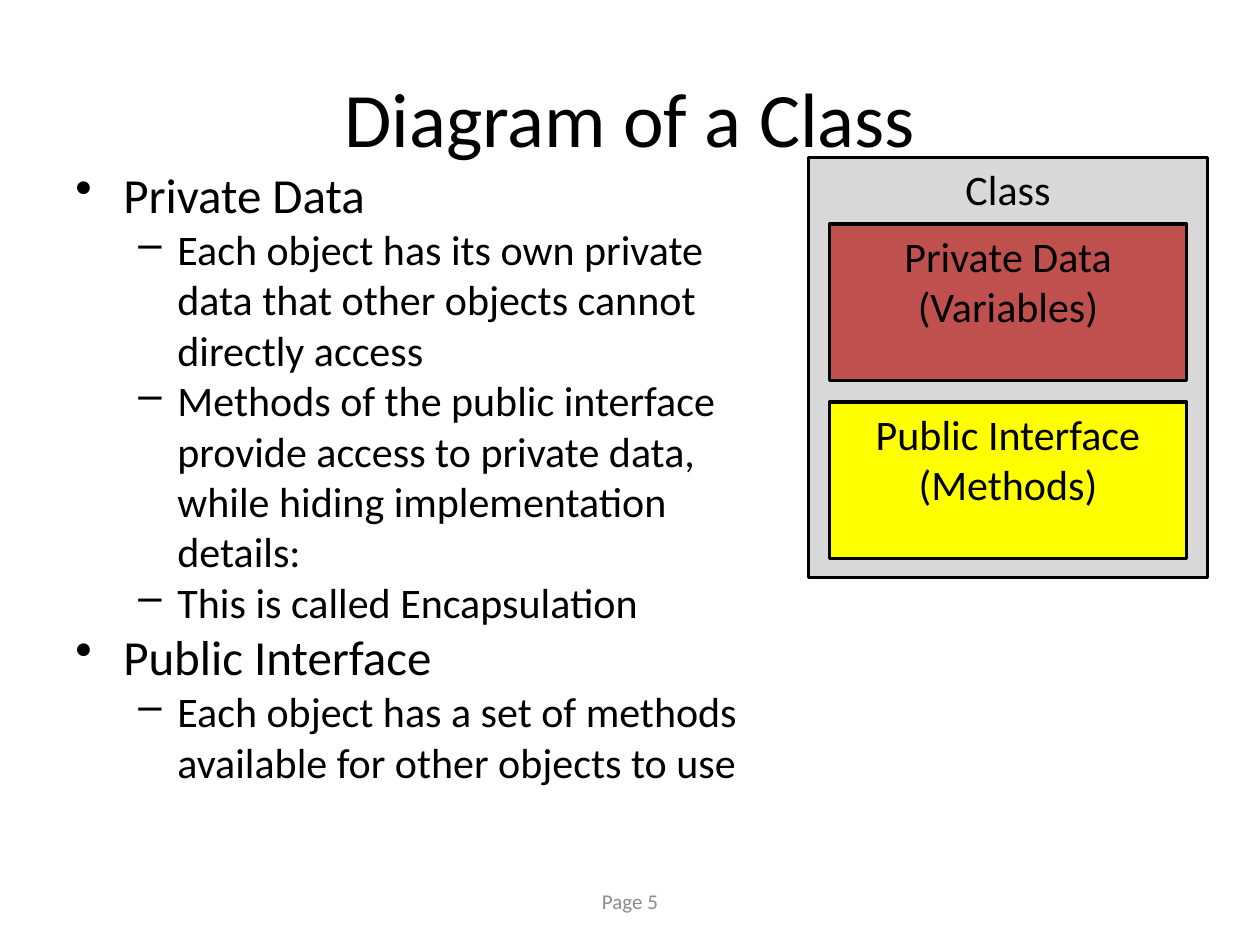
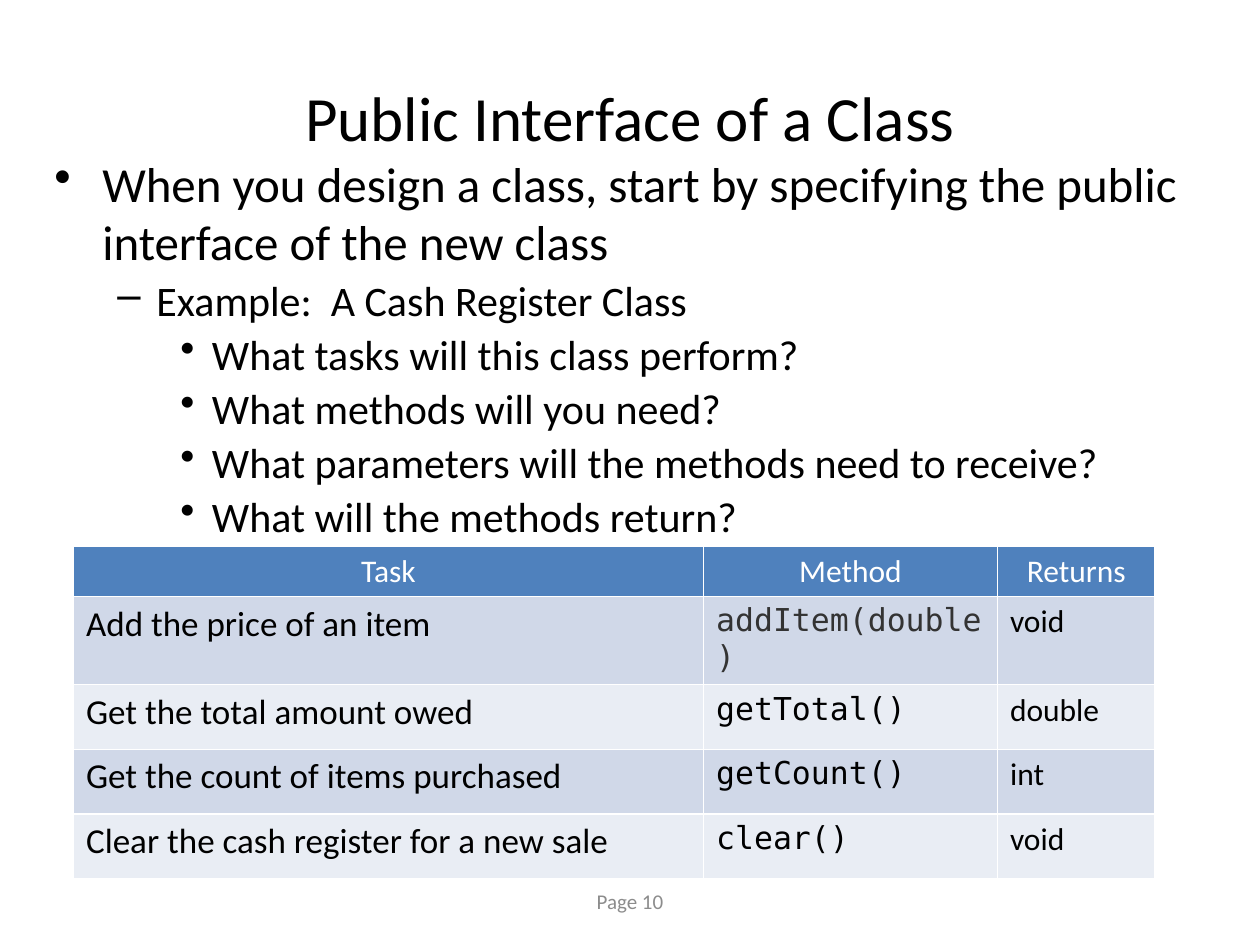
from lxml import etree
from pptx import Presentation
from pptx.dml.color import RGBColor
from pptx.enum.shapes import MSO_SHAPE
from pptx.enum.text import MSO_ANCHOR, PP_ALIGN
from pptx.oxml.ns import qn
from pptx.util import Inches, Pt

RECT = MSO_SHAPE.RECTANGLE
TOP, MIDDLE = MSO_ANCHOR.TOP, MSO_ANCHOR.MIDDLE
LEFT, CENTER = PP_ALIGN.LEFT, PP_ALIGN.CENTER

BLACK = RGBColor(0x00, 0x00, 0x00)
WHITE = RGBColor(0xFF, 0xFF, 0xFF)
DARK = RGBColor(0x33, 0x33, 0x33)
FOOTER_GRAY = RGBColor(0x8C, 0x8C, 0x8C)
CLASS_GRAY = RGBColor(0xD9, 0xD9, 0xD9)
PRIVATE_RED = RGBColor(0xC0, 0x50, 0x4D)
PUBLIC_YELLOW = RGBColor(0xFF, 0xFF, 0x00)
HEADER_BLUE = RGBColor(0x4F, 0x81, 0xBD)
BANDS = [RGBColor(0xD0, 0xD8, 0xE8), RGBColor(0xE9, 0xED, 0xF4)]

FONT, CODE_FONT = "Calibri", "DejaVu Sans Mono"

# Bullet levels: character, left margin and hanging indent in inches
LEVELS = [("•", 0.38, 0.38), ("–", 0.81, 0.31), ("•", 1.25, 0.25)]

prs = Presentation()
prs.slide_width, prs.slide_height = Inches(10), Inches(7.5)

# Grid of 120 columns by 90 rows
COL = prs.slide_width / 120
ROW = prs.slide_height / 90


def grid(x, y, w, h):
    return int(x * COL), int(y * ROW), int(w * COL), int(h * ROW)


def add_text(tf, text, size=24, color=BLACK, font=FONT, align=LEFT,
             anchor=TOP, before=0, level=None):
    """Fill the first empty paragraph, or add one, and format it."""
    tf.word_wrap = True
    tf.vertical_anchor = anchor
    p = tf.add_paragraph() if tf.text else tf.paragraphs[0]
    p.alignment = align
    p.space_before = Pt(before)
    r = p.add_run()
    r.text = text
    r.font.size, r.font.name = Pt(size), font
    r.font.color.rgb = color
    if level is not None:
        char, margin, hang = LEVELS[level]
        p.level = level
        pPr = p._p.get_or_add_pPr()
        pPr.set("marL", str(Inches(margin)))
        pPr.set("indent", str(-Inches(hang)))
        etree.SubElement(pPr, qn("a:buChar")).set("char", char)


# Slide contents: title, title size, page, body area, bullets
# A bullet is level, text, size, space before
pages = [
    ("Diagram of a Class", 44, "Page 5", (6, 15.1, 69, 66.8), [
        (0, "Private Data", 28, 0),
        (1, "Each object has its own private data that other objects "
            "cannot directly access", 24, 0),
        (1, "Methods of the public interface provide access to private "
            "data, while hiding implementation details:", 24, 0),
        (1, "This is called Encapsulation", 24, 0),
        (0, "Public Interface", 28, 0),
        (1, "Each object has a set of methods available for other objects "
            "to use", 24, 0),
    ]),
    ("Public Interface of a Class", 36, "Page 10", (4, 14, 111, 67), [
        (0, "When you design a class, start by specifying the public "
            "interface of the new class", 28, 6),
        (1, "Example:  A Cash Register Class", 24, 2),
        (2, "What tasks will this class perform?", 24, 2),
        (2, "What methods will you need?", 24, 2),
        (2, "What parameters will the methods need to receive?", 24, 2),
        (2, "What will the methods return?", 24, 2),
    ]),
]

# Title, bullets and footer on every slide
slides = []
for title, title_size, page, area, bullets in pages:
    s = prs.slides.add_slide(prs.slide_layouts[5])
    slides.append(s)
    sp = s.shapes.title
    sp.left, sp.top, sp.width, sp.height = grid(6, 3.6, 108, 15)
    add_text(sp.text_frame, title, size=title_size, align=CENTER, anchor=MIDDLE)

    tf = s.shapes.add_textbox(*grid(*area)).text_frame
    for level, text, size, before in bullets:
        add_text(tf, text, size=size, before=before, level=level)

    tf = s.shapes.add_textbox(*grid(41, 83.4, 38, 4.8)).text_frame
    add_text(tf, page, size=12, color=FOOTER_GRAY, align=CENTER, anchor=MIDDLE)

diagram_slide, table_slide = slides

# Class diagram: an outer box holding two equal inner boxes
boxes = [
    ((77, 15, 38, 40), CLASS_GRAY, ["Class"]),
    ((79, 21.35, 34, 14.9), PRIVATE_RED, ["Private Data", "(Variables)"]),
    ((79, 38.3, 34, 14.9), PUBLIC_YELLOW, ["Public Interface", "(Methods)"]),
]
group = diagram_slide.shapes.add_group_shape()
for area, fill, lines in boxes:
    sp = group.shapes.add_shape(RECT, *grid(*area))
    sp.shadow.inherit = False
    sp.fill.solid()
    sp.fill.fore_color.rgb = fill
    sp.line.color.rgb = BLACK
    sp.line.width = Pt(2)
    for line in lines:
        add_text(sp.text_frame, line, align=CENTER)

# Table of tasks and methods
rows = [
    ("Task", "Method", "Returns"),
    ("Add the price of an item", "addItem(double)", "void"),
    ("Get the total amount owed", "getTotal()", "double"),
    ("Get the count of items purchased", "getCount()", "int"),
    ("Clear the cash register for a new sale", "clear()", "void"),
]
table = table_slide.shapes.add_table(len(rows), 3, *grid(7, 52, 103, 29.4)).table
for column, width in zip(table.columns, (60, 28, 15)):
    column.width = int(width * COL)

header_format = dict(size=18, color=WHITE, align=CENTER)
column_formats = [dict(size=20), dict(size=18, font=CODE_FONT), dict(size=18)]
for i, row in enumerate(rows):
    table.rows[i].height = int((6.15 if i else 4.8) * ROW)
    for j, text in enumerate(row):
        cell = table.cell(i, j)
        cell.fill.solid()
        cell.fill.fore_color.rgb = BANDS[(i - 1) % 2] if i else HEADER_BLUE
        fmt = dict(column_formats[j] if i else header_format)
        if i == 1 and j < 2:
            fmt["before"] = (6, 2)[j]
        if i == 1 and j == 1:
            fmt["color"] = DARK
        add_text(cell.text_frame, text, **fmt)

prs.save("out.pptx")
